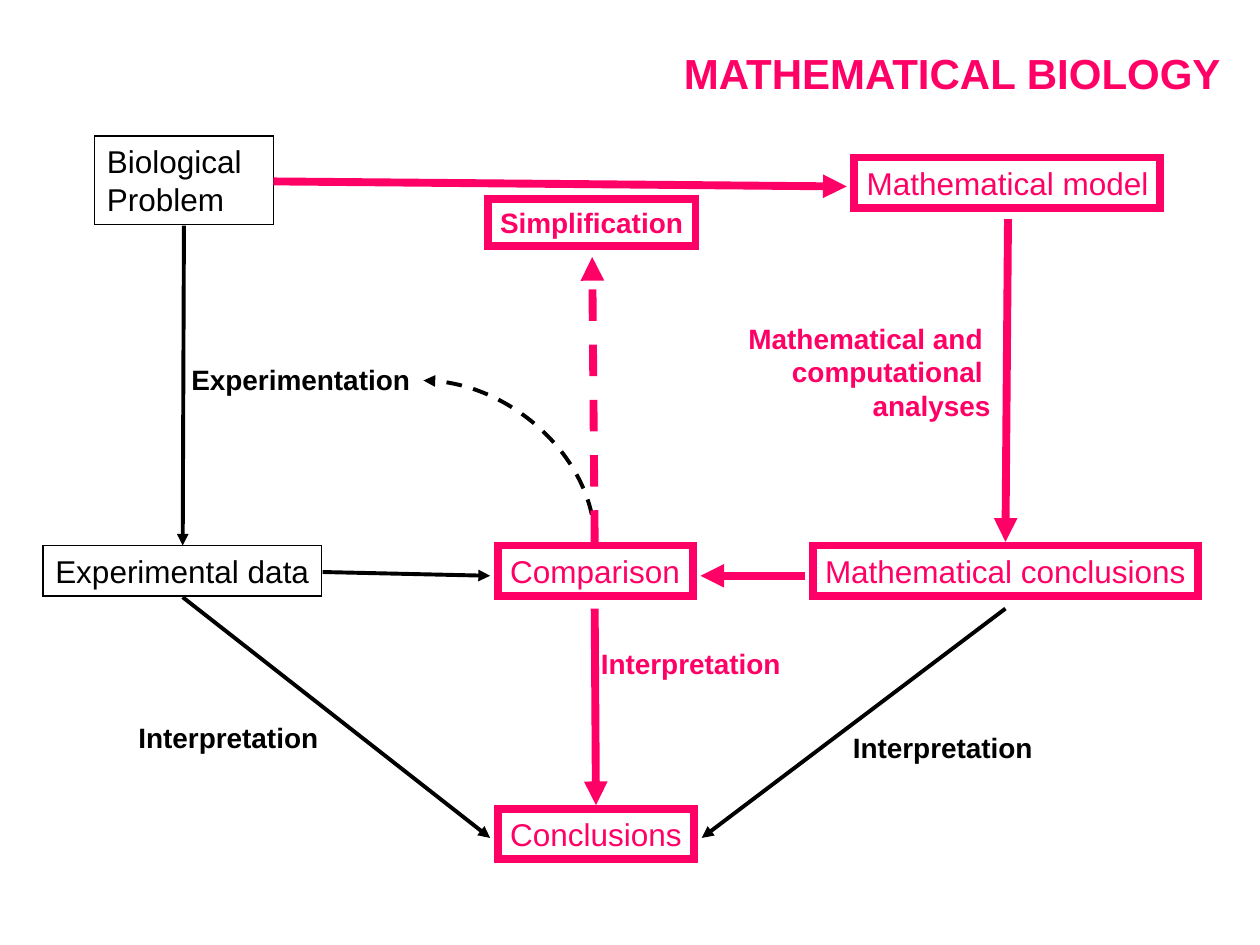
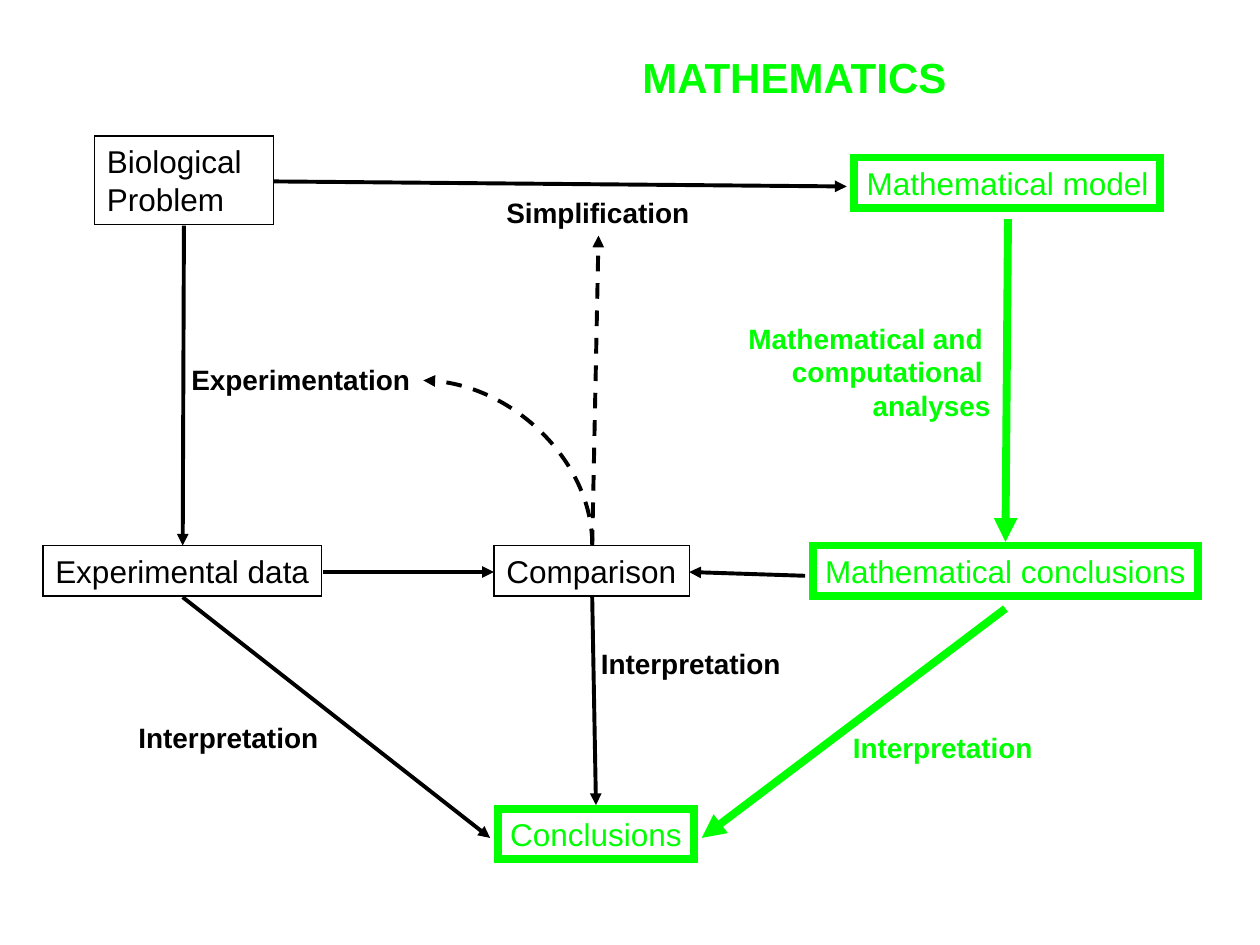
from pptx import Presentation
from pptx.dml.color import RGBColor
from pptx.enum.dml import MSO_LINE
from pptx.enum.shapes import MSO_CONNECTOR, MSO_SHAPE
from pptx.enum.text import MSO_ANCHOR, MSO_AUTO_SIZE, PP_ALIGN
from pptx.oxml.ns import qn
from pptx.util import Pt
from lxml.etree import SubElement

PX = 9144  # 100 px to the inch
HUES = {"ink": "000000", "pink": "FF0066", "green": "00FF00"}
FRAME = {"thin": 0.75, "bold": 4.5}
ARROW = {"thin": 2.25, "bold": 4.5}

# Boxes of the flow chart: left, top, width, height, text
BOXES = {
    "problem": (75, 108, 142, 70, "Biological Problem"),
    "data": (34, 433, 221, 40, "Experimental data"),
    "model": (678, 125, 243, 40, "Mathematical model"),
    "result": (645, 433, 306, 40, "Mathematical conclusions"),
    "compare": (395, 433, 155, 40, "Comparison"),
    "end": (395, 642, 156, 40, "Conclusions"),
}

# Labels beside the arrows
LABELS = {
    "method": (584, 250, 212, 90, "Mathematical and \ncomputational \nanalyses"),
    "simple": (387, 158, 165, 37, "Simplification"),
    "test": (142, 283, 193, 37, "Experimentation"),
    "left": (100, 567, 163, 37, "Interpretation"),
    "right": (667, 575, 163, 37, "Interpretation"),
    "middle": (467, 508, 163, 37, "Interpretation"),
}

# Arrows: from x, y to x, y
ARROWS = {
    "measure": (146, 179, 145, 433),
    "reduce": (217, 144, 672, 148),
    "solve": (800, 174, 798, 430),
    "observe": (256, 454, 389, 457),
    "predict": (639, 457, 556, 457),
    "retest": (472, 430, 336, 302),
    "refine": (472, 430, 470, 204),
    "judge": (472, 483, 473, 639),
    "read": (145, 474, 389, 665),
    "infer": (798, 483, 557, 665),
}
DASHED = {"retest", "refine"}

# Each slide: title, accent, what carries the accent, what moves
SLIDES = [
    {
        "title": (533, 33, 451, 50, "MATHEMATICAL BIOLOGY"),
        "hue": "pink",
        "bold": {"model", "result", "compare", "end", "method", "simple", "middle",
                 "reduce", "solve", "predict", "refine", "judge"},
        "moved": {},
    },
    {
        "title": (500, 36, 266, 50, "MATHEMATICS"),
        "hue": "green",
        "bold": {"model", "result", "end", "method", "right", "solve", "infer"},
        "moved": {
            "compare": (392, 433, 155, 40, "Comparison"),
            "simple": (392, 150, 165, 37, "Simplification"),
            "observe": (256, 454, 392, 454),
            "predict": (639, 457, 547, 454),
            "retest": (470, 433, 336, 302),
            "refine": (470, 433, 475, 187),
            "judge": (470, 474, 473, 639),
        },
    },
]


def put_text(slide, place, hue, size, frame=None):
    *rect, text = place
    rect = [n * PX for n in rect]
    color = RGBColor.from_string(HUES[hue])
    if frame:
        shape = slide.shapes.add_shape(MSO_SHAPE.RECTANGLE, *rect)
        shape.shadow.inherit = False
        shape.fill.background()
        shape.line.color.rgb = color
        shape.line.width = Pt(frame)
        SubElement(shape._element.spPr.find(qn("a:ln")), qn("a:miter"), lim="800000")
    else:
        shape = slide.shapes.add_textbox(*rect)
    body = shape.text_frame
    body.text = text
    # The side away from the text edge has no inset, so lines keep some slack
    right = "\n" in text
    look = {"word_wrap": True,
            "auto_size": MSO_AUTO_SIZE.NONE,
            "vertical_anchor": MSO_ANCHOR.TOP,
            "margin_left": 0 if right else 10 * PX,
            "margin_right": 10 * PX if right else 0}
    for key, value in look.items():
        setattr(body, key, value)
    font = {"name": "Arial", "size": Pt(size), "bold": size != 18}
    for para in body.paragraphs:
        para.alignment = PP_ALIGN.RIGHT if right else PP_ALIGN.LEFT
        para.font.color.rgb = color
        for key, value in font.items():
            setattr(para.font, key, value)


def put_arrow(slide, name, ends, hue, width):
    x1, y1, x2, y2 = ends
    kind = MSO_CONNECTOR.STRAIGHT
    if name == "retest":
        # A quarter turn about the centre makes the curve leave upwards
        kind = MSO_CONNECTOR.CURVE
        midx, midy = (x1 + x2) // 2, (y1 + y2) // 2
        dx, dy = (y1 - y2) // 2, (x1 - x2) // 2
        ends = midx - dx, midy + dy, midx + dx, midy - dy
    link = slide.shapes.add_connector(kind, *[n * PX for n in ends])
    props = link._element.spPr
    if name == "retest":
        props.find(qn("a:xfrm")).set("rot", "16200000")
        props.find(qn("a:prstGeom")).set("prst", "curvedConnector2")
    link.line.color.rgb = RGBColor.from_string(HUES[hue])
    link.line.width = Pt(width)
    if name in DASHED:
        link.line.dash_style = MSO_LINE.DASH
    SubElement(props.find(qn("a:ln")), qn("a:tailEnd"), type="triangle")
    SubElement(props, qn("a:effectLst"))


deck = Presentation()
deck.slide_width, deck.slide_height = 1000 * PX, 750 * PX

for plan in SLIDES:
    slide = deck.slides.add_slide(deck.slide_layouts[6])
    moved = plan["moved"]
    tone = {name: (plan["hue"], "bold") if name in plan["bold"] else ("ink", "thin")
            for name in [*BOXES, *LABELS, *ARROWS]}

    # Boxes
    for name, place in BOXES.items():
        hue, weight = tone[name]
        put_text(slide, moved.get(name, place), hue, 18, FRAME[weight])

    # Labels; simplification is framed when accented
    for name, place in LABELS.items():
        hue, weight = tone[name]
        frame = FRAME["bold"] if name == "simple" and weight == "bold" else None
        put_text(slide, moved.get(name, place), hue, 16, frame)

    # Arrows
    for name, ends in ARROWS.items():
        hue, weight = tone[name]
        put_arrow(slide, name, moved.get(name, ends), hue, ARROW[weight])

    # Title
    put_text(slide, plan["title"], plan["hue"], 24)

deck.save("out.pptx")
